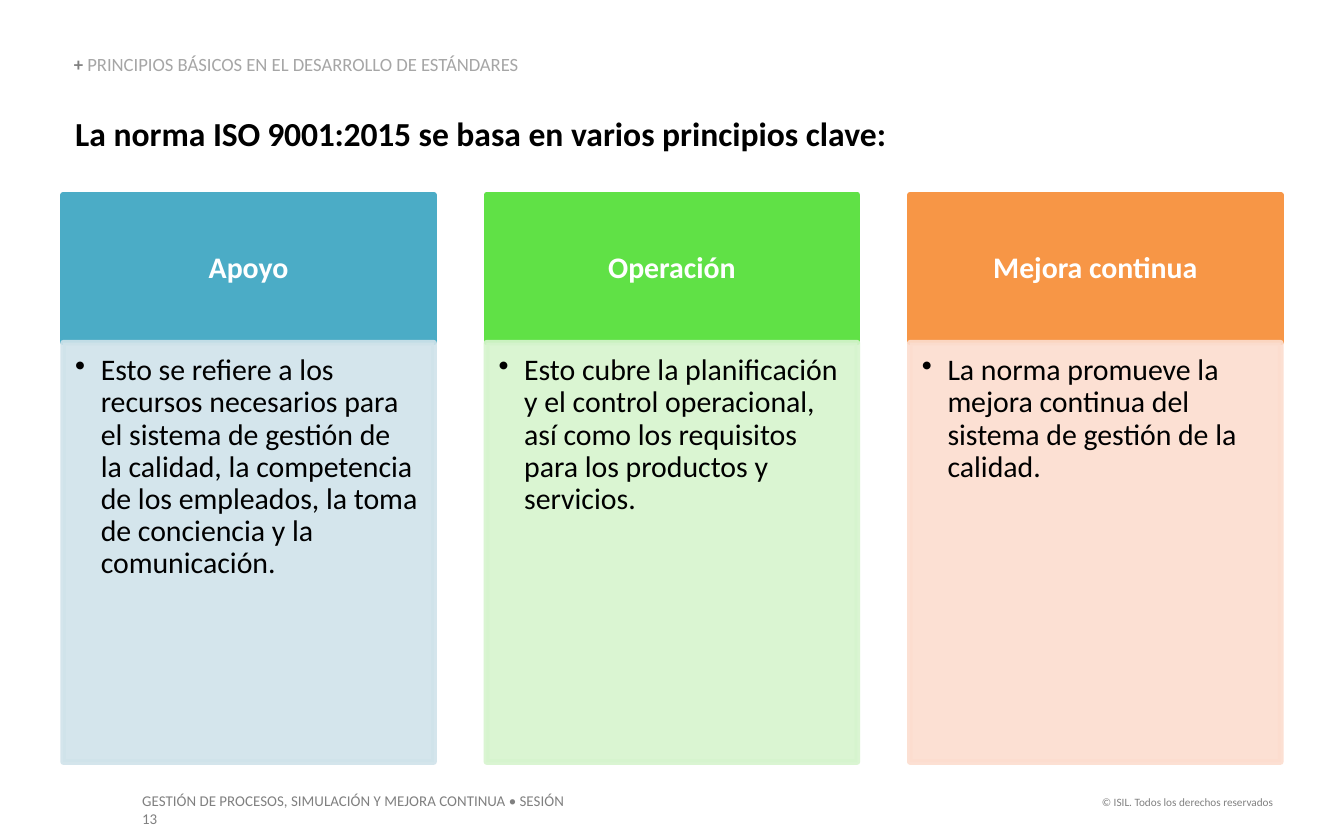
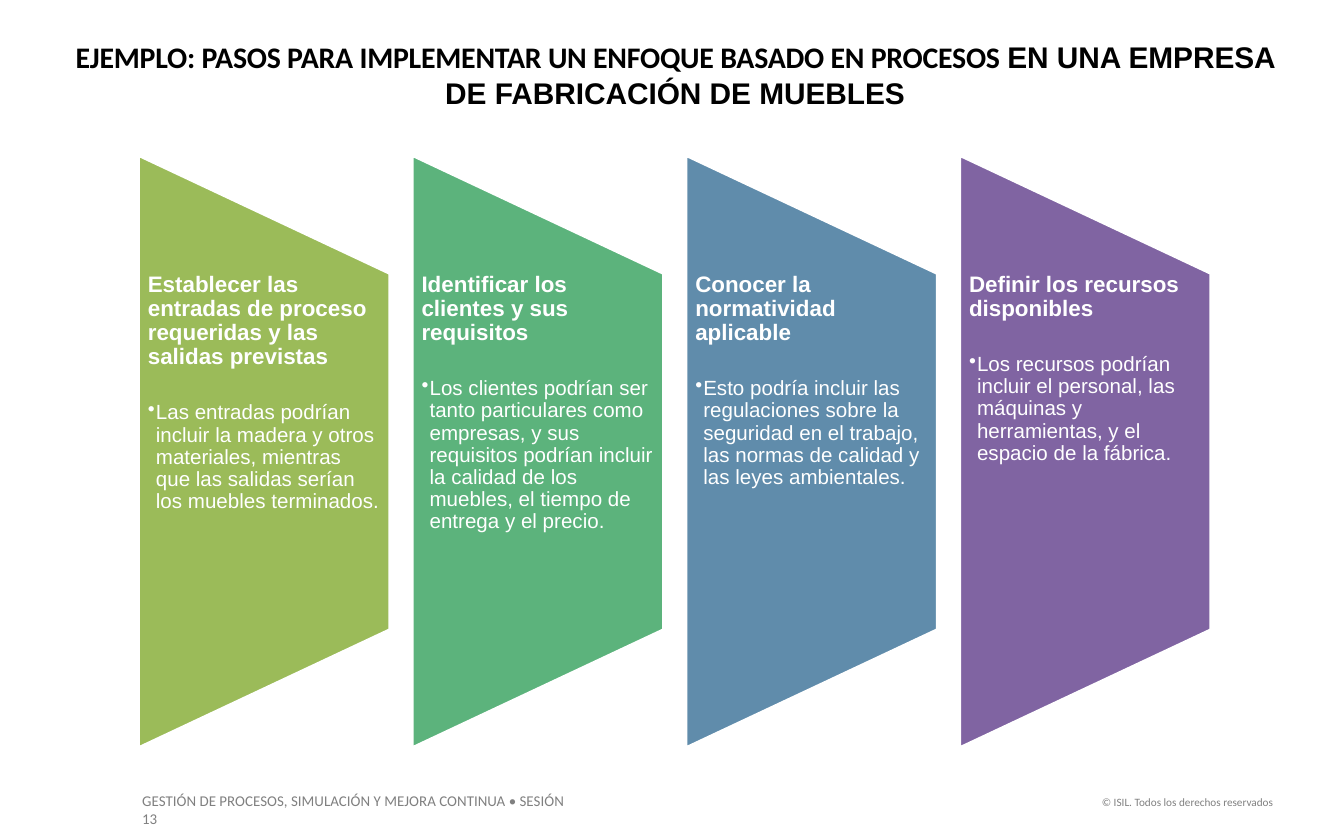
from dataclasses import dataclass

from lxml.etree import SubElement
from pptx import Presentation
from pptx.dml.color import RGBColor
from pptx.enum.shapes import MSO_SHAPE
from pptx.enum.text import MSO_ANCHOR, PP_ALIGN
from pptx.oxml.ns import qn
from pptx.util import Inches, Pt


@dataclass(frozen=True)
class Theme:
    sans: str = "Calibri"
    alternate: str = "Arial"
    black: str = "000000"
    white: str = "FFFFFF"
    gray: str = "808080"
    light_gray: str = "A6A6A6"
    copyright_size: float = 6
    footer_size: float = 8
    section_size: float = 10
    heading_size: float = 18
    card_size: float = 16
    step_title_size: float = 12
    step_size: float = 11
    outline: float = 3
    tight: float = 0.9


THEME = Theme()

# Title, header colour, body colour, explanation
PRINCIPLES = [
    ("Apoyo", "4BACC6", "D0E3EA",
     "Esto se refiere a los recursos necesarios para el sistema de gestión de la "
     "calidad, la competencia de los empleados, la toma de conciencia y la "
     "comunicación."),
    ("Operación", "60E146", "D6F4CE",
     "Esto cubre la planificación y el control operacional, así como los "
     "requisitos para los productos y servicios."),
    ("Mejora continua", "F79646", "FCDDCF",
     "La norma promueve la mejora continua del sistema de gestión de la calidad."),
]

# Title, colour, explanation
STEPS = [
    ("Establecer las entradas de proceso requeridas y las salidas previstas",
     "9BBB59",
     "Las entradas podrían incluir la madera y otros materiales, mientras que "
     "las salidas serían los muebles terminados."),
    ("Identificar los clientes y sus requisitos", "5CB37C",
     "Los clientes podrían ser tanto particulares como empresas, y sus "
     "requisitos podrían incluir la calidad de los muebles, el tiempo de "
     "entrega y el precio."),
    ("Conocer la normatividad aplicable", "608CAB",
     "Esto podría incluir las regulaciones sobre la seguridad en el trabajo, "
     "las normas de calidad y las leyes ambientales."),
    ("Definir los recursos disponibles", "8064A2",
     "Los recursos podrían incluir el personal, las máquinas y herramientas, y "
     "el espacio de la fábrica."),
]


def add_run(paragraph, text, size, color=THEME.black, font=THEME.sans,
            bold=False, tracking=0):
    run = paragraph.add_run()
    run.text = text
    run.font.name = font
    run.font.size = Pt(size)
    run.font.bold = bold
    run.font.color.rgb = RGBColor.from_string(color)
    if tracking:
        run.font._element.set("spc", str(round(tracking * 100)))


def write(frame, text, align=PP_ALIGN.LEFT, spacing=None, before=0, after=0,
          hanging=0, **style):
    """Write one paragraph; text is a string or a list of (text, style) runs."""
    paragraph = frame.paragraphs[0]
    if paragraph.runs:
        paragraph = frame.add_paragraph()
    if hanging:
        properties = paragraph._p.get_or_add_pPr()
        properties.set("marL", str(Inches(hanging)))
        properties.set("indent", str(-Inches(hanging)))
        SubElement(properties, qn("a:buChar")).set("char", "•")
    paragraph.alignment = align
    if spacing:
        paragraph.line_spacing = spacing
    if before:
        paragraph.space_before = Pt(before)
    if after:
        paragraph.space_after = Pt(after)
    runs = [(text, {})] if isinstance(text, str) else text
    for words, changes in runs:
        add_run(paragraph, words, **{**style, **changes})


def prepare_frame(shape, insets, anchor=MSO_ANCHOR.TOP):
    frame = shape.text_frame
    frame.word_wrap = True
    frame.vertical_anchor = anchor
    (frame.margin_left, frame.margin_top,
     frame.margin_right, frame.margin_bottom) = map(Inches, insets)
    return frame


def add_text_area(slide, box, insets=(0, 0, 0, 0), anchor=MSO_ANCHOR.TOP):
    return prepare_frame(slide.shapes.add_textbox(*map(Inches, box)), insets, anchor)


def add_block(slide, preset, box, fill, line, opacity=100):
    block = slide.shapes.add_shape(preset, *map(Inches, box))
    block.shadow.inherit = False
    block.fill.solid()
    block.fill.fore_color.rgb = RGBColor.from_string(fill)
    block.line.color.rgb = RGBColor.from_string(line)
    block.line.width = Pt(THEME.outline)
    if opacity < 100:
        for color in block._element.spPr.iter(qn("a:srgbClr")):
            SubElement(color, qn("a:alpha")).set("val", str(opacity * 1000))
    return block


def add_footer(slide):
    rights = add_text_area(slide, (8.07, 5.87, 1.5, 0.2), (0, 0.05, 0.1, 0.05))
    write(rights, "© ISIL. Todos los derechos reservados", align=PP_ALIGN.RIGHT,
          size=THEME.copyright_size, color=THEME.gray)
    course = add_text_area(slide, (0.96, 5.84, 3.53, 0.24), (0.1, 0.05, 0.2, 0.05))
    write(course, "GESTIÓN DE PROCESOS, SIMULACIÓN Y MEJORA CONTINUA • SESIÓN 13",
          size=THEME.footer_size, color=THEME.gray)


def add_principle(slide, left, title, header_color, body_color, explanation):
    width, top, header_height, body_height = 2.76, 1.45, 1.1, 3.12
    header = add_block(slide, MSO_SHAPE.RECTANGLE, (left, top, width, header_height),
                       header_color, header_color)
    write(prepare_frame(header, (0.12, 0.07, 0.12, 0.07), MSO_ANCHOR.MIDDLE), title,
          align=PP_ALIGN.CENTER, spacing=THEME.tight, size=THEME.card_size,
          color=THEME.white, bold=True)
    body = add_block(slide, MSO_SHAPE.RECTANGLE,
                     (left, top + header_height, width, body_height),
                     body_color, body_color, opacity=90)
    write(prepare_frame(body, (0.09, 0.09, 0.12, 0.14)), explanation,
          spacing=THEME.tight, hanging=0.19, size=THEME.card_size)


def add_step(slide, left, title, color, explanation):
    width, length, center_y = 1.89, 4.44, 3.36
    # The panel is a turned trapezoid: its width and length swap on the slide
    panel = add_block(slide, MSO_SHAPE.FLOWCHART_MANUAL_OPERATION,
                      (left + (width - length) / 2, center_y - width / 2,
                       length, width), color, THEME.white)
    panel.rotation = 270
    words = add_text_area(slide, (left, 2.03, width, 2.67), (0.08, 0, 0.08, 0))
    style = dict(font=THEME.alternate, color=THEME.white, spacing=THEME.tight)
    write(words, title, after=4, size=THEME.step_title_size, bold=True, **style)
    write(words, explanation, before=13.5, hanging=0.06, size=THEME.step_size, **style)


def build_principles(slide):
    add_footer(slide)
    # Section label and heading
    section = add_text_area(slide, (0.55, 0.41, 4.65, 0.15), anchor=MSO_ANCHOR.BOTTOM)
    write(section, [("+ ", dict(color=THEME.gray, bold=True)),
                    ("PRINCIPIOS BÁSICOS EN EL DESARROLLO DE ESTÁNDARES", {})],
          spacing=THEME.tight, size=THEME.section_size, color=THEME.light_gray)
    heading = add_text_area(slide, (0.56, 0.84, 8.7, 0.3))
    write(heading, [("La norma ", {}), ("ISO 9001:2015 ", dict(tracking=-0.1)),
                    ("se basa en varios principios clave:", {})],
          size=THEME.heading_size, bold=True)
    # Three cards
    for column, principle in enumerate(PRINCIPLES):
        add_principle(slide, 0.47 + 3.15 * column, *principle)


def build_steps(slide):
    add_footer(slide)
    # Four panels
    for column, step in enumerate(STEPS):
        add_step(slide, 1.02 + 6.11 / 3 * column, *step)
    # Heading
    heading = add_text_area(slide, (0.56, 0.29, 8.93, 0.54))
    write(heading,
          [("EJEMPLO: PASOS PARA IMPLEMENTAR UN ENFOQUE BASADO EN PROCESOS ",
            dict(tracking=-0.1)),
           ("EN UNA EMPRESA DE FABRICACIÓN DE MUEBLES", dict(font=THEME.alternate))],
          align=PP_ALIGN.CENTER, size=THEME.card_size, bold=True)


def main():
    deck = Presentation()
    deck.slide_width, deck.slide_height = Inches(10), Inches(6.25)
    blank = deck.slide_layouts[6]
    for build in (build_principles, build_steps):
        build(deck.slides.add_slide(blank))
    deck.save("out.pptx")


if __name__ == "__main__":
    main()
